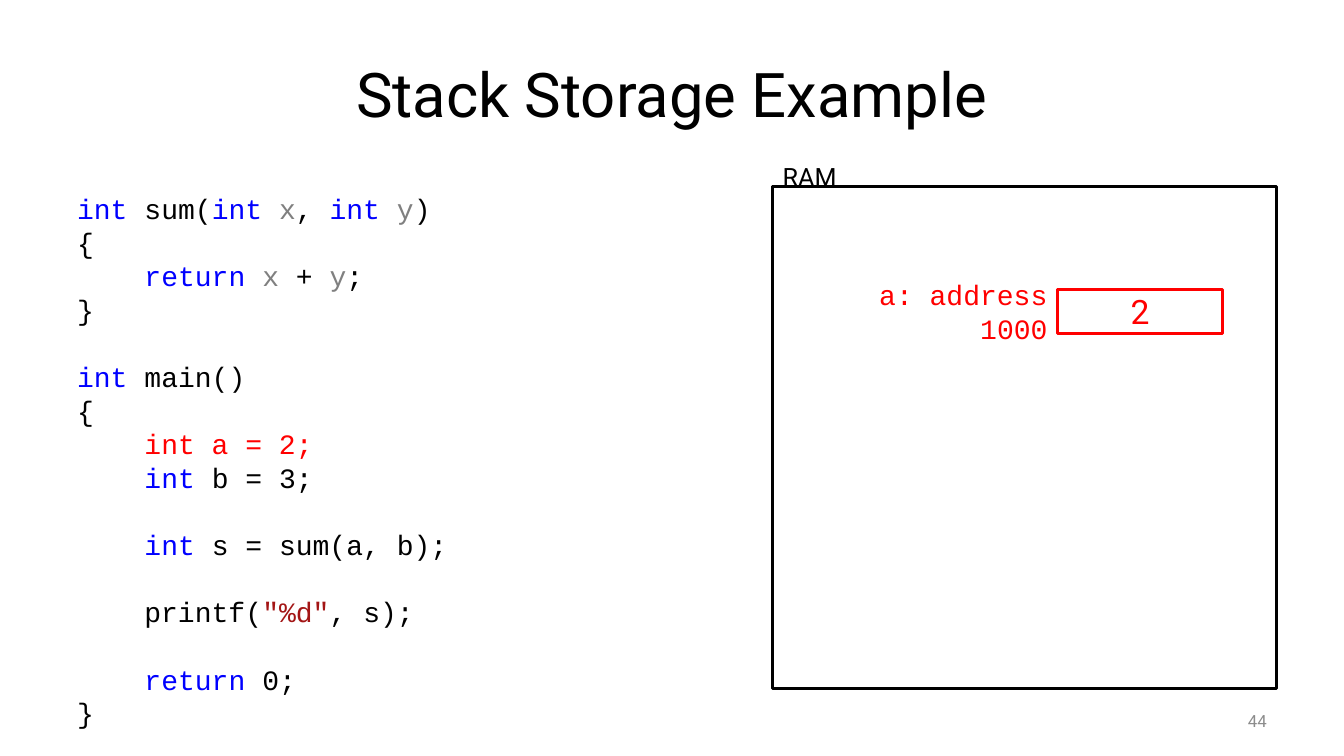
from pptx import Presentation
from pptx.dml.color import RGBColor
from pptx.enum.shapes import MSO_SHAPE
from pptx.enum.text import MSO_ANCHOR, PP_ALIGN
from pptx.util import Pt

COLORS = {
    "plain": "000000",
    "keyword": "0000FF",
    "parameter": "808080",
    "string": "A31515",
    "active": "FF0000",
    "number": "8C8C8C",
    "white": "FFFFFF",
}
BODY_FONT, CODE_FONT = "Roboto", "Courier New"
CODE_SIZE, CODE_PITCH = 20, 24

CODE_BLOCKS = [
    [
        [("int ", "keyword"), ("sum(", "plain"), ("int ", "keyword"), ("x", "parameter"),
         (", ", "plain"), ("int ", "keyword"), ("y", "parameter"), (")", "plain")],
        [("{", "plain")],
        [("    ", "plain"), ("return ", "keyword"), ("x", "parameter"),
         (" + ", "plain"), ("y", "parameter"), (";", "plain")],
        [("}", "plain")],
    ],
    [
        [("int ", "keyword"), ("main()", "plain")],
        [("{", "plain")],
        [("    ", "plain"), ("int a = 2;", "active")],
        [("    ", "plain"), ("int", "keyword"), (" b = 3;", "plain")],
    ],
    [[("    ", "plain"), ("int", "keyword"), (" s = sum(a, b);", "plain")]],
    [[("    printf(", "plain"), ('"%d"', "string"), (", s);", "plain")]],
    [
        [("    ", "plain"), ("return", "keyword"), (" 0;", "plain")],
        [("}", "plain")],
    ],
]

MARGIN = 48
RAM_LEFT, RAM_TOP, RAM_WIDTH, RAM_HEIGHT = 552, 133.2, 360, 358.5
CELL_LEFT, CELL_TOP, CELL_WIDTH, CELL_HEIGHT = 755.3, 206.6, 118, 31.7
ADDRESS_WIDTH = 185.8


def color(name):
    return RGBColor.from_string(COLORS[name])


def write(paragraph, text, size, color_name, align=PP_ALIGN.LEFT, font=BODY_FONT):
    paragraph.add_run().text = text
    paragraph.alignment = align
    paragraph.font.name = font
    paragraph.font.size = Pt(size)
    paragraph.font.color.rgb = color(color_name)


def add_box(page, left, top, width, height, anchor=MSO_ANCHOR.MIDDLE):
    box = page.shapes.add_textbox(Pt(left), Pt(top), Pt(width), Pt(height))
    box.text_frame.word_wrap = True
    box.text_frame.vertical_anchor = anchor
    return box.text_frame


def add_frame(page, left, top, width, height, line_color):
    frame = page.shapes.add_shape(
        MSO_SHAPE.RECTANGLE, Pt(left), Pt(top), Pt(width), Pt(height))
    frame.shadow.inherit = False
    frame.fill.solid()
    frame.fill.fore_color.rgb = color("white")
    frame.line.color.rgb = color(line_color)
    frame.line.width = Pt(2)
    return frame.text_frame


def add_code(page):
    frame = add_box(page, MARGIN, RAM_TOP, 480, 395.3, MSO_ANCHOR.TOP)
    for block_index, block in enumerate(CODE_BLOCKS):
        for line_index, line in enumerate(block):
            first = block_index == line_index == 0
            para = frame.paragraphs[0] if first else frame.add_paragraph()
            para.line_spacing = Pt(CODE_PITCH)
            if block_index and not line_index:
                para.space_before = Pt(CODE_PITCH)
            para.font.name = CODE_FONT
            para.font.size = Pt(CODE_SIZE)
            for text, color_name in line:
                span = para.add_run()
                span.text = text
                span.font.color.rgb = color(color_name)


def main():
    deck = Presentation()
    deck.slide_width, deck.slide_height = Pt(960), Pt(540)
    page = deck.slides.add_slide(deck.slide_layouts[6])

    title = add_box(page, MARGIN, 21.6, 864, 90)
    write(title.paragraphs[0], "Stack Storage Example", 44, "plain", PP_ALIGN.CENTER)
    number = add_box(page, 688, 500.5, 224, 28.8)
    write(number.paragraphs[0], "44", 12, "number", PP_ALIGN.RIGHT)

    add_frame(page, RAM_LEFT, RAM_TOP, RAM_WIDTH, RAM_HEIGHT, "plain")
    label = add_box(page, RAM_LEFT, 111.6, 134, 29, MSO_ANCHOR.TOP)
    write(label.paragraphs[0], "RAM", 18, "plain")

    address = add_box(page, CELL_LEFT - ADDRESS_WIDTH, CELL_TOP, ADDRESS_WIDTH, CELL_HEIGHT)
    para = address.paragraphs[0]
    write(para, "a: address 1000", CODE_SIZE, "active", PP_ALIGN.RIGHT, CODE_FONT)
    para.line_spacing = Pt(CODE_PITCH)

    add_code(page)

    cell = add_frame(page, CELL_LEFT, CELL_TOP, CELL_WIDTH, CELL_HEIGHT, "active")
    cell.vertical_anchor = MSO_ANCHOR.MIDDLE
    write(cell.paragraphs[0], "2", 24, "active", PP_ALIGN.CENTER)

    deck.save("out.pptx")


if __name__ == "__main__":
    main()
